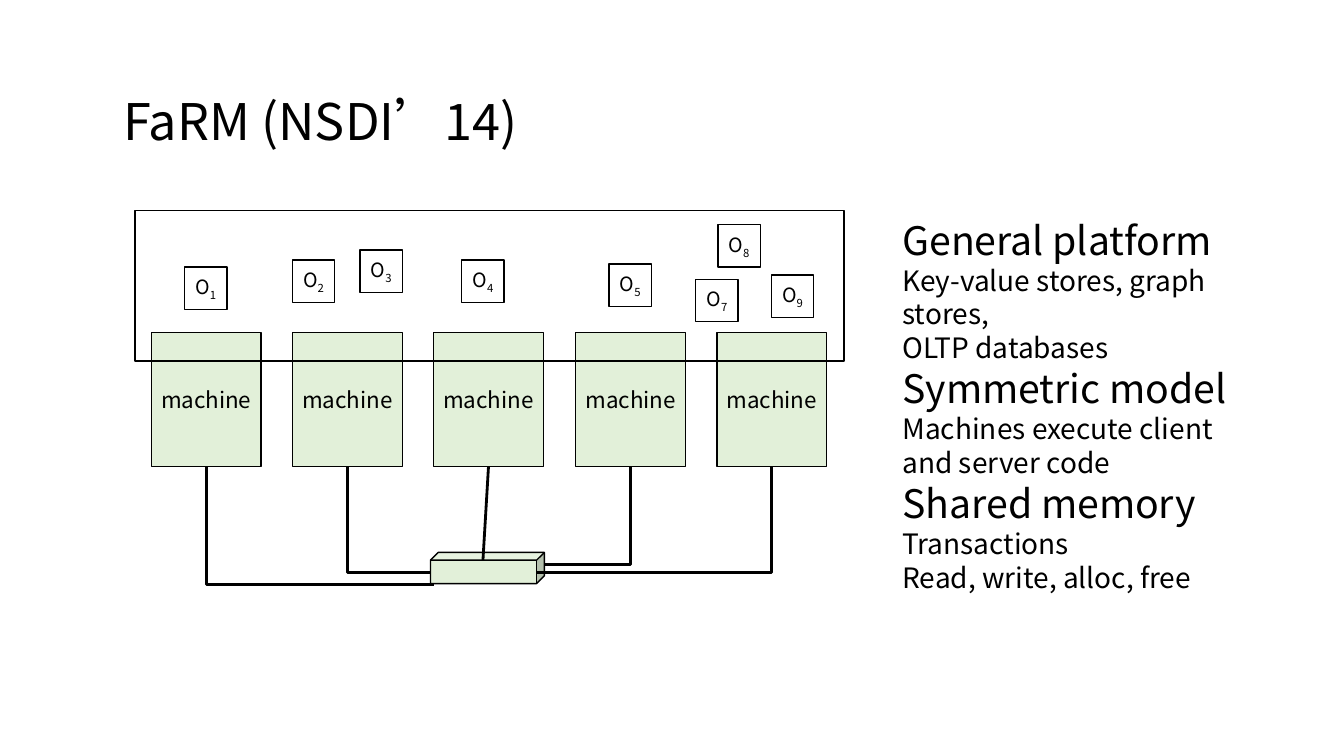
"""Builds the FaRM architecture slide."""
import dataclasses

import lxml.etree
import pptx
import pptx.dml.color
import pptx.enum.shapes
import pptx.enum.text
import pptx.oxml.ns
import pptx.util

EMU_PER_PX = 9144
KIND = pptx.enum.shapes.MSO_SHAPE
ANCHOR = pptx.enum.text.MSO_ANCHOR
ALIGN = pptx.enum.text.PP_ALIGN


@dataclasses.dataclass(frozen=True)
class Theme:
    """Colours, font and type sizes of the slide."""
    ink: pptx.dml.color.RGBColor = pptx.dml.color.RGBColor(0, 0, 0)
    machine: pptx.dml.color.RGBColor = pptx.dml.color.RGBColor(0xE2, 0xF0, 0xD9)
    font: str = "Noto Sans CJK SC"
    title: int = 36
    heading: int = 28
    detail: int = 20
    label: int = 16
    item: int = 14
    outline: int = 1
    cable: int = 2


THEME = Theme()
LINE_PITCH = {THEME.title: 45, THEME.heading: 34, THEME.detail: 24}

MACHINE_TOP, MACHINE_WIDTH, MACHINE_HEIGHT = 330, 109, 133
MACHINE_BOTTOM = MACHINE_TOP + MACHINE_HEIGHT
MACHINE_LEFTS = [150 + round(140.25 * index) for index in range(5)]
ITEM_SIZE = 42
ITEMS = {
    "1": (183, 265), "2": (290, 258), "3": (357, 248), "4": (458, 258),
    "5": (604, 262), "8": (712, 223), "7": (690, 277), "9": (765, 273),
}
CABLE_ENDS = {0: (430, 580), 1: (427, 568), 3: (540, 560), 4: (532, 568)}
POINTS = [
    ("General platform", ["Key-value stores, graph stores,", "OLTP databases"]),
    ("Symmetric model", ["Machines execute client", "and server code"]),
    ("Shared memory", ["Transactions", "Read, write, alloc, free"]),
]


def px(value):
    """Turn px into EMU."""
    return pptx.util.Emu(round(value * EMU_PER_PX))


def apply_format(target, values):
    """Set each attribute named in values."""
    for name, value in values.items():
        setattr(target, name, value)


def add_run(paragraph, text, size):
    """Append a run in the theme font."""
    run = paragraph.add_run()
    run.text = text
    apply_format(run.font, {"size": pptx.util.Pt(size), "name": THEME.font})
    run.font.color.rgb = THEME.ink
    return run


def add_block(slide, kind, left, top, width, height, fill=None):
    """Add an outlined shape, filled if a colour is given."""
    shape = slide.shapes.add_shape(kind, px(left), px(top), px(width), px(height))
    shape.shadow.inherit = False
    if fill is None:
        shape.fill.background()
    else:
        shape.fill.solid()
        shape.fill.fore_color.rgb = fill
    shape.line.color.rgb = THEME.ink
    shape.line.width = pptx.util.Pt(THEME.outline)
    return shape


def add_label(shape, text, size):
    """Centre a label in a shape and return its paragraph."""
    apply_format(shape.text_frame, {
        "margin_left": 0, "margin_right": 0, "vertical_anchor": ANCHOR.MIDDLE,
    })
    paragraph = shape.text_frame.paragraphs[0]
    paragraph.alignment = ALIGN.CENTER
    add_run(paragraph, text, size)
    return paragraph


def add_machine(slide, left):
    """Add one machine."""
    shape = add_block(slide, KIND.RECTANGLE, left, MACHINE_TOP,
                      MACHINE_WIDTH, MACHINE_HEIGHT, THEME.machine)
    add_label(shape, "machine", THEME.label)
    return shape


def add_item(slide, number, left, top):
    """Add one numbered object of the shared memory."""
    shape = add_block(slide, KIND.RECTANGLE, left, top, ITEM_SIZE, ITEM_SIZE)
    paragraph = add_label(shape, "O", THEME.item)
    subscript = add_run(paragraph, number, THEME.item)
    subscript.font._element.set("baseline", "-25000")


def add_cable(slide, kind, begin, end):
    """Add a plain thick connector."""
    cable = slide.shapes.add_connector(kind, *map(px, begin + end))
    cable.line.color.rgb = THEME.ink
    cable.line.width = pptx.util.Pt(THEME.cable)
    lxml.etree.SubElement(cable._element.spPr, pptx.oxml.ns.qn("a:effectLst"))
    return cable


def add_corner_cable(slide, begin, end):
    """Add a cable that drops from begin, then turns sideways to end."""
    middle_x, middle_y = (begin[0] + end[0]) / 2, (begin[1] + end[1]) / 2
    half_drop, half_run = (end[1] - begin[1]) / 2, abs(end[0] - begin[0]) / 2
    cable = add_cable(slide, pptx.enum.shapes.MSO_CONNECTOR.ELBOW,
                      (middle_x - half_drop, middle_y - half_run),
                      (middle_x + half_drop, middle_y + half_run))
    properties = cable._element.spPr
    properties.find(pptx.oxml.ns.qn("a:prstGeom")).set("prst", "bentConnector2")
    to_right = end[0] > begin[0]
    frame = properties.find(pptx.oxml.ns.qn("a:xfrm"))
    frame.set("rot", str((270 if to_right else 90) * 60000))
    if to_right:
        frame.set("flipH", "1")


def fill_placeholder(placeholder, box, lines):
    """Place a placeholder and write its (text, size) lines."""
    apply_format(placeholder, dict(zip(("left", "top", "width", "height"), map(px, box))))
    frame = placeholder.text_frame
    apply_format(frame, {
        "word_wrap": True, "vertical_anchor": ANCHOR.TOP,
        "auto_size": pptx.enum.text.MSO_AUTO_SIZE.NONE,
    })
    for index, (text, size) in enumerate(lines):
        paragraph = frame.add_paragraph() if index else frame.paragraphs[0]
        apply_format(paragraph, {
            "alignment": ALIGN.LEFT, "space_before": pptx.util.Pt(0),
            "line_spacing": pptx.util.Pt(LINE_PITCH[size]),
        })
        properties = paragraph._p.get_or_add_pPr()
        properties.set("marL", "0")
        properties.set("indent", "0")
        lxml.etree.SubElement(properties, pptx.oxml.ns.qn("a:buNone"))
        add_run(paragraph, text, size)


def main():
    """Build and save the slide."""
    presentation = pptx.Presentation()
    apply_format(presentation, {"slide_width": px(1333), "slide_height": px(750)})
    slide = presentation.slides.add_slide(presentation.slide_layouts[1])
    fill_placeholder(slide.shapes.title, (112, 82, 634, 71),
                     [("FaRM (NSDI’14)", THEME.title)])
    lines = []
    for heading, details in POINTS:
        lines.append((heading, THEME.heading))
        lines.extend((detail, THEME.detail) for detail in details)
    fill_placeholder(slide.placeholders[1], (885, 209, 392, 387), lines)

    machines = [add_machine(slide, left) for left in MACHINE_LEFTS]
    add_block(slide, KIND.CUBE, 427, 548, 113, 31, THEME.machine)
    uplink = add_cable(slide, pptx.enum.shapes.MSO_CONNECTOR.STRAIGHT,
                       (479, 556), (485, MACHINE_BOTTOM))
    uplink.end_connect(machines[2], 2)
    for index, end in CABLE_ENDS.items():
        begin = (MACHINE_LEFTS[index] + MACHINE_WIDTH / 2, MACHINE_BOTTOM)
        add_corner_cable(slide, begin, end)
    for number, (left, top) in ITEMS.items():
        add_item(slide, number, left, top)
    add_block(slide, KIND.RECTANGLE, 134, 209, 703, 149)
    presentation.save("out.pptx")


if __name__ == "__main__":
    main()
